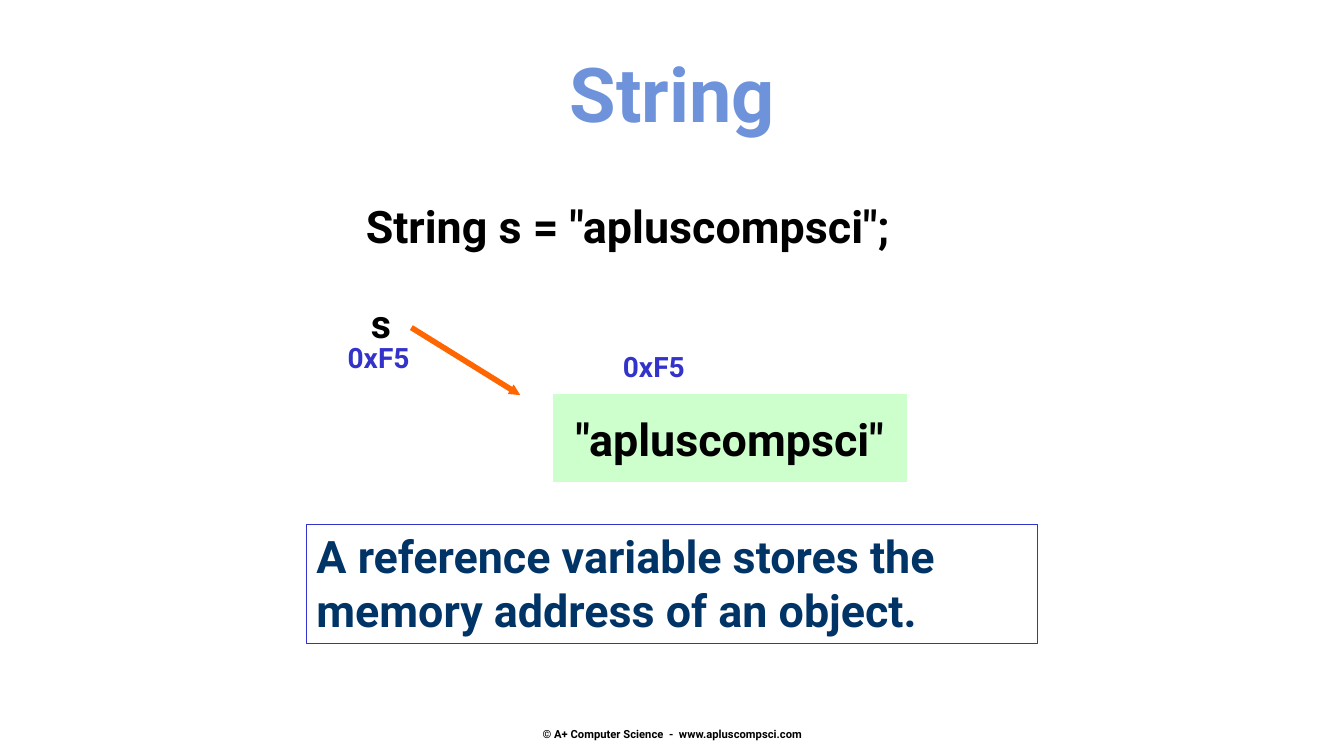
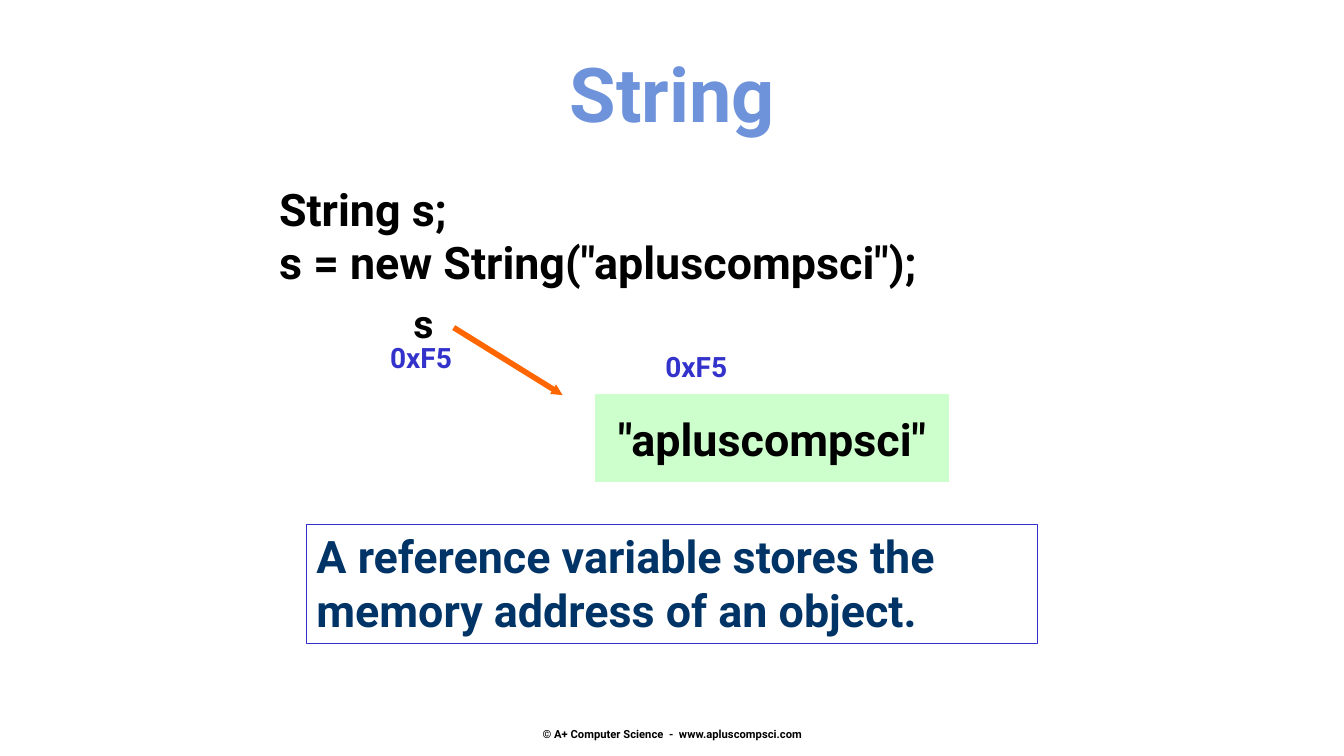
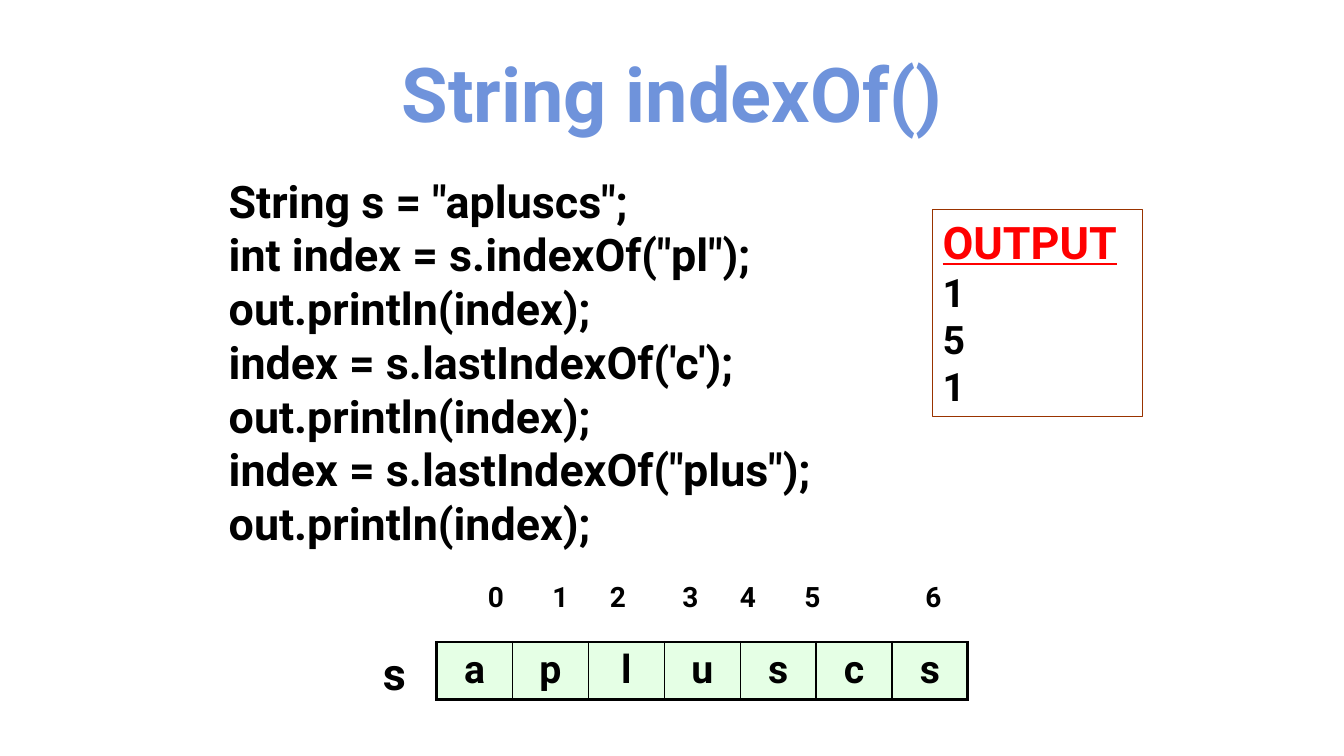
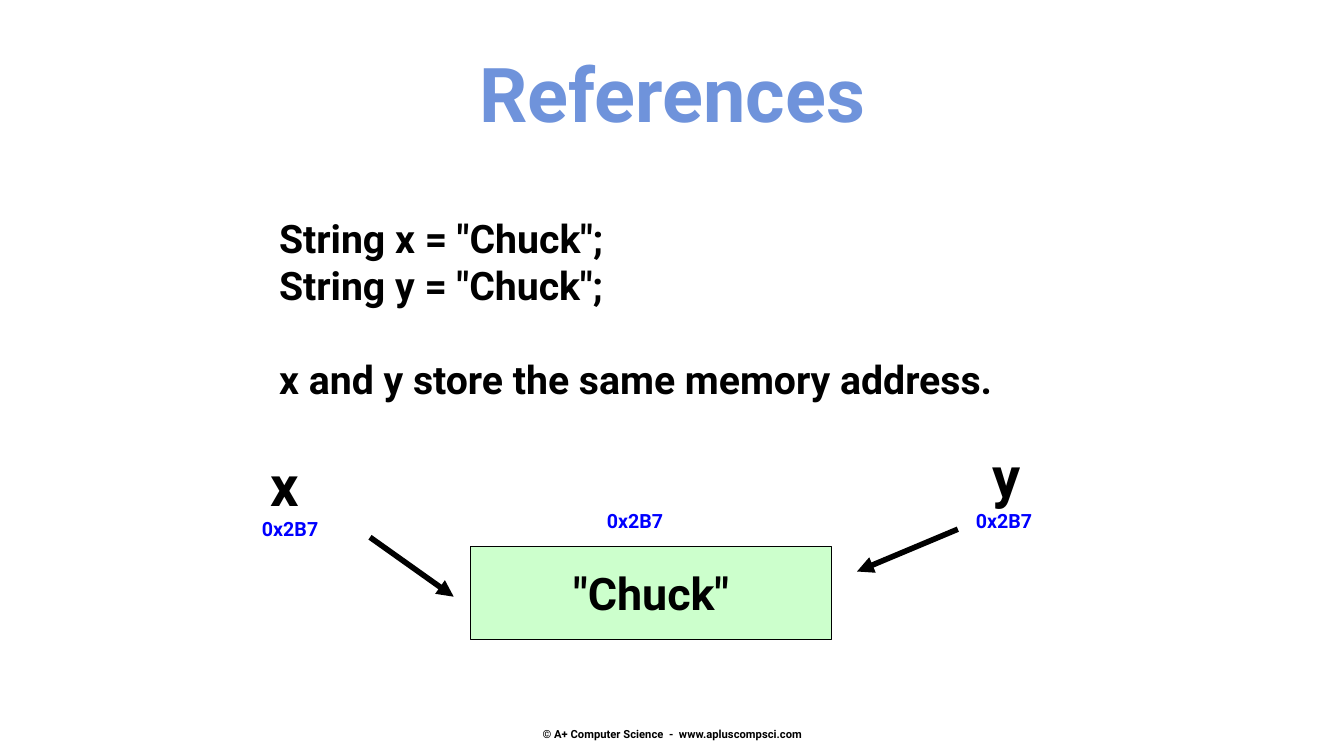
"""Build four slides on Java String references and indexOf."""
from dataclasses import dataclass
from typing import Optional

from lxml.etree import SubElement
from pptx import Presentation
from pptx.dml.color import RGBColor
from pptx.enum.shapes import MSO_CONNECTOR, MSO_SHAPE
from pptx.enum.text import MSO_ANCHOR, MSO_AUTO_SIZE, PP_ALIGN
from pptx.oxml.ns import qn
from pptx.shapes.autoshape import Shape
from pptx.slide import Slide
from pptx.text.text import Font, TextFrame
from pptx.util import Inches, Pt

COLORS = {
    "title": "6F93DB",
    "ink": "000000",
    "object": "CCFFCC",
    "address": "3333CC",
    "hex": "0000FF",
    "rule": "003366",
    "arrow": "FF6600",
    "output": "FF0000",
    "output_frame": "993300",
}
FONT_FORMAT = {"name": "Roboto", "bold": True}
TITLE_PLACE = {
    "left": Inches(1.67), "top": Inches(0.42),
    "width": Inches(10), "height": Inches(1.01),
}
TITLE_FRAME = {
    "word_wrap": True, "auto_size": MSO_AUTO_SIZE.NONE,
    "vertical_anchor": MSO_ANCHOR.TOP,
}


@dataclass(frozen=True)
class Caption:
    """Text at a place in inches, with an optional filled or outlined box."""

    lines: tuple[str, ...]
    at: tuple[float, float, float, float]
    size: float
    color: str = "ink"
    align: PP_ALIGN = PP_ALIGN.LEFT
    anchor: MSO_ANCHOR = MSO_ANCHOR.TOP
    fill: Optional[str] = None
    border: Optional[str] = None
    border_width: float = 0.75


@dataclass(frozen=True)
class Arrow:
    """A straight arrow between two points in inches."""

    start: tuple[float, float]
    end: tuple[float, float]
    color: str
    head: str = "med"


FOOTER = Caption(("© A+ Computer Science  -  www.apluscompsci.com",),
                 (4.56, 7.13, 4.22, 0.3), 8, align=PP_ALIGN.CENTER, anchor=MSO_ANCHOR.MIDDLE)
RULE = Caption(("A reference variable stores the", "memory address of an object."),
               (3.04, 5.2, 7.25, 1.18), 32, "rule", border="address")


def rgb(color: str) -> RGBColor:
    """Return the named colour."""
    return RGBColor.from_string(COLORS[color])


def apply(target: object, values: dict) -> None:
    """Set each attribute of the target."""
    for name, value in values.items():
        setattr(target, name, value)


def style_font(font: Font, size: float, color: str) -> None:
    """Give a font the shared face with a size and colour."""
    apply(font, {**FONT_FORMAT, "size": Pt(size)})
    font.color.rgb = rgb(color)


def write_lines(frame: TextFrame, lines: tuple[str, ...], size: float,
                color: str, align: PP_ALIGN) -> None:
    """Write one formatted paragraph per line."""
    frame.text = "\n".join(lines)
    for paragraph in frame.paragraphs:
        paragraph.alignment = align
        for run in paragraph.runs:
            style_font(run.font, size, color)


def draw_caption(slide: Slide, caption: Caption) -> Shape:
    """Draw a caption as a text box or a rectangle."""
    place = [Inches(length) for length in caption.at]
    if caption.fill or caption.border:
        box = slide.shapes.add_shape(MSO_SHAPE.RECTANGLE, *place)
        box.shadow.inherit = False
        if caption.fill:
            box.fill.solid()
            box.fill.fore_color.rgb = rgb(caption.fill)
        else:
            box.fill.background()
        box.line.color.rgb = rgb(caption.border or caption.fill)
        box.line.width = Pt(caption.border_width)
    else:
        box = slide.shapes.add_textbox(*place)
    apply(box.text_frame, {"word_wrap": True, "vertical_anchor": caption.anchor})
    write_lines(box.text_frame, caption.lines, caption.size, caption.color, caption.align)
    return box


def draw_arrow(slide: Slide, arrow: Arrow) -> None:
    """Draw an arrow with a triangular head at its end."""
    ends = [Inches(length) for length in arrow.start + arrow.end]
    pointer = slide.shapes.add_connector(MSO_CONNECTOR.STRAIGHT, *ends)
    pointer.line.color.rgb = rgb(arrow.color)
    pointer.line.width = Pt(4)
    SubElement(pointer.line._get_or_add_ln(), qn("a:tailEnd"),
               type="triangle", w=arrow.head, len=arrow.head)
    SubElement(pointer._element.spPr, qn("a:effectLst"))


def add_titled_slide(deck: Presentation, heading: str, footer: bool = True) -> Slide:
    """Add a slide with the shared title and footer."""
    slide = deck.slides.add_slide(deck.slide_layouts[5])
    title = slide.shapes.title
    apply(title, TITLE_PLACE)
    apply(title.text_frame, TITLE_FRAME)
    write_lines(title.text_frame, (heading,), 54, "title", PP_ALIGN.CENTER)
    if footer:
        draw_caption(slide, FOOTER)
    return slide


def add_string_slide(deck: Presentation, code: Caption, shift: float) -> None:
    """Show a variable pointing at its String, moved right by the shift."""
    slide = add_titled_slide(deck, "String")
    center = PP_ALIGN.CENTER
    for caption in (
        code,
        Caption(("s",), (3.58 + shift, 2.92, 0.4, 0.98), 28, align=center),
        Caption(('"apluscompsci"',), (5.49 + shift, 3.92, 3.5, 0.86), 32, align=center,
                anchor=MSO_ANCHOR.MIDDLE, fill="object", border_width=1),
        Caption(("0xF5",), (3.35 + shift, 3.33, 0.89, 0.43), 20, "address"),
        Caption(("0xF5",), (6.08 + shift, 3.42, 0.89, 0.43), 20, "address"),
        RULE,
    ):
        draw_caption(slide, caption)
    draw_arrow(slide, Arrow((4.08 + shift, 3.25), (5.16 + shift, 3.92), "arrow", "sm"))


def draw_letters(slide: Slide, word: str) -> None:
    """Draw a word as a one-row table with a letter in each cell."""
    column = 0.753
    frame = slide.shapes.add_table(1, len(word), Inches(4.33), Inches(6.37),
                                   Inches(column * len(word)), Inches(0.57))
    letters = frame.table
    apply(letters, {"first_row": False, "horz_banding": False})
    last = len(word) - 1
    for index, letter in enumerate(word):
        letters.columns[index].width = Inches(column)
        cell = letters.cell(0, index)
        write_lines(cell.text_frame, (letter,), 28, "ink", PP_ALIGN.CENTER)
        borders = {"lnL": 1 if index else 2.25, "lnR": 1 if index < last else 2.25,
                   "lnT": 2.25, "lnB": 2.25}
        properties = cell._tc.get_or_add_tcPr()
        for side, width in borders.items():
            edge = SubElement(properties, qn(f"a:{side}"), w=str(Pt(width)))
            SubElement(SubElement(edge, qn("a:solidFill")), qn("a:srgbClr"), val=COLORS["ink"])
        cell.fill.solid()
        cell.fill.fore_color.rgb = rgb("object")
        tint = properties.find(qn("a:solidFill")).find(qn("a:srgbClr"))
        SubElement(tint, qn("a:alpha"), val="50000")


def add_index_slide(deck: Presentation) -> None:
    """Show indexOf calls, their output and the indexed letters."""
    slide = add_titled_slide(deck, "String indexOf()", footer=False)
    draw_caption(slide, Caption((
        'String s = "apluscs";',
        'int index = s.indexOf("pl");',
        "out.println(index);",
        "index = s.lastIndexOf('c');",
        "out.println(index);",
        'index = s.lastIndexOf("plus");',
        "out.println(index);",
    ), (2.17, 1.67, 7.0, 3.87), 32))
    output = draw_caption(slide, Caption(("OUTPUT", "1", "5", "1"), (9.25, 2.08, 2.08, 2.05),
                                         28, border="output_frame", border_width=1))
    heading = output.text_frame.paragraphs[0].runs[0].font
    style_font(heading, 32, "output")
    heading.underline = True
    indexes = draw_caption(slide, Caption(("\t".join("0123456"),), (4.74, 5.7, 4.87, 0.43), 20))
    stops = SubElement(indexes.text_frame.paragraphs[0]._p.get_or_add_pPr(), qn("a:tabLst"))
    for stop in (0.64, 1.21, 1.93, 2.5, 3.14, 4.34):
        SubElement(stops, qn("a:tab"), pos=str(Inches(stop)), algn="l")
    draw_caption(slide, Caption(("s",), (3.7, 6.36, 0.46, 0.63), 32))
    draw_letters(slide, "apluscs")


def add_references_slide(deck: Presentation) -> None:
    """Show two variables that store one address."""
    slide = add_titled_slide(deck, "References")
    code = draw_caption(slide, Caption((
        'String x = "Chuck";',
        'String y = "Chuck";',
        "x and y store the same memory address.",
    ), (2.67, 2.08, 8.11, 1.97), 28))
    code.text_frame.paragraphs[-1].space_before = Pt(33)
    draw_caption(slide, Caption(('"Chuck"',), (4.67, 5.42, 3.58, 0.92), 32,
                                align=PP_ALIGN.CENTER, anchor=MSO_ANCHOR.MIDDLE,
                                fill="object", border="ink"))
    for variable, left, top in (("x", 2.58, 4.42), ("y", 9.75, 4.33)):
        draw_caption(slide, Caption((variable,), (left, top, 0.54, 0.77), 40))
    for left, top in ((2.5, 5.08), (5.92, 5), (9.58, 5)):
        draw_caption(slide, Caption(("0x2B7",), (left, top, 0.92, 0.33), 14, "hex"))
    for start, end in (((3.67, 5.33), (4.5, 5.92)), ((9.5, 5.25), (8.5, 5.67))):
        draw_arrow(slide, Arrow(start, end, "ink"))


def main() -> None:
    """Build and save the deck."""
    deck = Presentation()
    apply(deck, {"slide_width": Inches(13.33), "slide_height": Inches(7.5)})
    add_string_slide(deck, Caption(('String s = "apluscompsci";',),
                                   (3.53, 1.92, 6.21, 0.64), 32), 0)
    add_string_slide(deck, Caption(("String s;", 's = new String("apluscompsci");'),
                                   (2.67, 1.75, 7.56, 1.18), 32), 0.42)
    add_index_slide(deck)
    add_references_slide(deck)
    deck.save("out.pptx")


if __name__ == "__main__":
    main()
